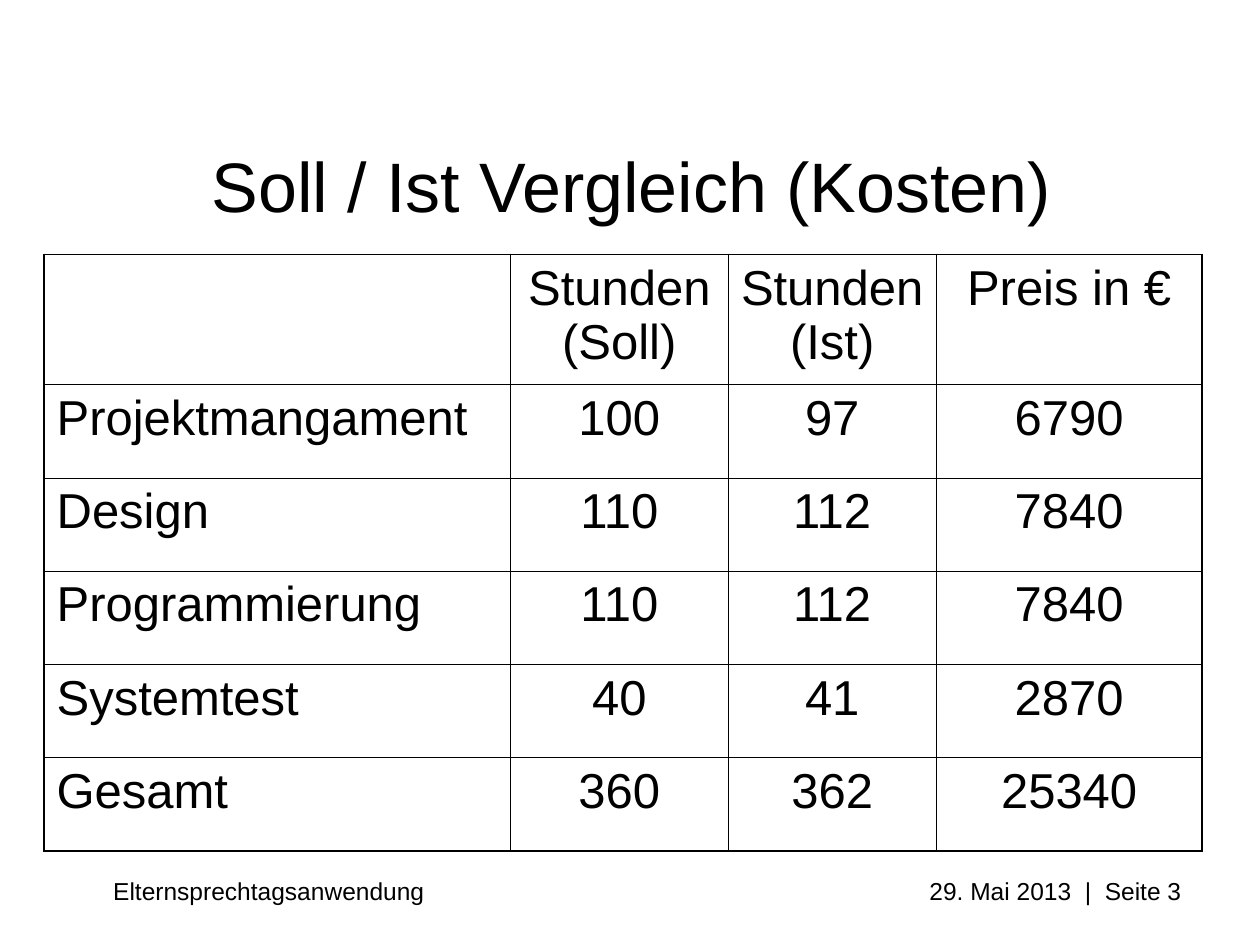
from dataclasses import dataclass

from lxml import etree
from pptx import Presentation
from pptx.dml.color import RGBColor
from pptx.enum.text import MSO_ANCHOR, PP_ALIGN
from pptx.oxml.ns import qn
from pptx.util import Inches, Pt

LEFT, CENTER = PP_ALIGN.LEFT, PP_ALIGN.CENTER
TOP, MIDDLE = MSO_ANCHOR.TOP, MSO_ANCHOR.MIDDLE


@dataclass(frozen=True)
class Theme:
    """Fonts, colours, type sizes and line widths of the slide."""
    font: str = "Arial"
    ink: str = "000000"
    paper: str = "FFFFFF"
    title: int = 40
    cell: int = 28
    footer: int = 14
    space_before: int = 7
    outer: float = 1.08
    inner: float = 0.45


THEME = Theme()
COLS = (3.7, 1.73, 1.65, 2.11)
ROWS = (1.03,) + (0.74,) * 5
COSTS = (
    ("", "Stunden\n(Soll)", "Stunden\n(Ist)", "Preis in €"),
    ("Projektmangament", "100", "97", "6790"),
    ("Design", "110", "112", "7840"),
    ("Programmierung", "110", "112", "7840"),
    ("Systemtest", "40", "41", "2870"),
    ("Gesamt", "360", "362", "25340"),
)


def add_text(p, text, size, align):
    """Write text into a paragraph, with a line break at each newline."""
    p.alignment = align
    for i, line in enumerate(text.split("\n")):
        if i:
            p.add_line_break()
        r = p.add_run()
        r.text = line
        r.font.name = THEME.font
        r.font.size = Pt(size)
        r.font.color.rgb = RGBColor.from_string(THEME.ink)


def set_border(cell, side, width):
    """Draw one side of a cell."""
    ln = etree.SubElement(cell._tc.get_or_add_tcPr(), qn(f"a:ln{side}"), w=str(Pt(width)))
    fill = etree.SubElement(ln, qn("a:solidFill"))
    etree.SubElement(fill, qn("a:srgbClr"), val=THEME.ink)


def add_title(s, box, text):
    """Place the title placeholder in the box."""
    sp = s.shapes.title
    sp.left, sp.top, sp.width, sp.height = map(Inches, box)
    tf = sp.text_frame
    tf.vertical_anchor = MIDDLE
    add_text(tf.paragraphs[0], text, THEME.title, CENTER)


def add_cost_table(s, box, data):
    """Place the cost table in the box, with a heavier outer frame."""
    n_rows, n_cols = len(data), len(data[0])
    table = s.shapes.add_table(n_rows, n_cols, *map(Inches, box)).table
    table.first_row = table.horz_banding = False
    for col, width in zip(table.columns, COLS):
        col.width = Inches(width)
    for row, height in zip(table.rows, ROWS):
        row.height = Inches(height)
    for i, values in enumerate(data):
        for j, text in enumerate(values):
            cell = table.cell(i, j)
            cell.vertical_anchor = TOP
            edges = {"L": j == 0, "R": j == n_cols - 1, "T": i == 0, "B": i == n_rows - 1}
            for side, is_outer in edges.items():
                set_border(cell, side, THEME.outer if is_outer else THEME.inner)
            cell.fill.background()
            if text:
                p = cell.text_frame.paragraphs[0]
                p.space_before = Pt(THEME.space_before)
                add_text(p, text, THEME.cell, CENTER if j else LEFT)


def add_footer(s, box, project, page):
    """Place the project name at the left and the page note at a right tab."""
    tf = s.shapes.add_textbox(*map(Inches, box)).text_frame
    tf.word_wrap = True
    p = tf.paragraphs[0]
    tabs = etree.SubElement(p._p.get_or_add_pPr(), qn("a:tabLst"))
    etree.SubElement(tabs, qn("a:tab"), pos=str(Inches(box[2] - 0.21)), algn="r")
    add_text(p, f"{project}\t{page}", THEME.footer, LEFT)


def main():
    """Build the slide and save it."""
    prs = Presentation()
    prs.slide_width, prs.slide_height = Inches(10), Inches(7.5)
    s = prs.slides.add_slide(prs.slide_layouts[5])
    s.background.fill.solid()
    s.background.fill.fore_color.rgb = RGBColor.from_string(THEME.paper)
    add_footer(s, (0.8, 6.9, 8.69, 0.3), "Elternsprechtagsanwendung", "29. Mai 2013  |  Seite 3")
    add_title(s, (0.51, 1.07, 9, 0.79), "Soll / Ist Vergleich (Kosten)")
    add_cost_table(s, (0.35, 2.02, sum(COLS), sum(ROWS)), COSTS)
    prs.save("out.pptx")


if __name__ == "__main__":
    main()
